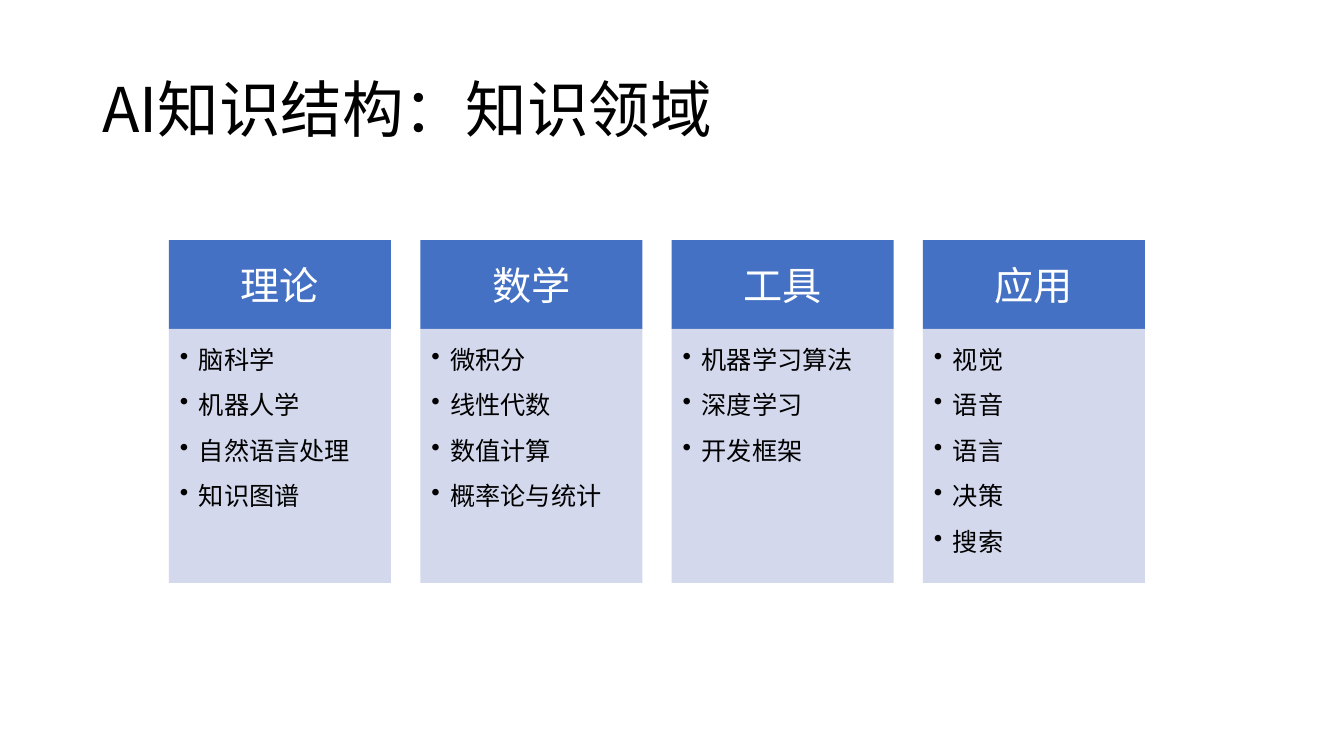
from lxml.etree import SubElement
from pptx import Presentation
from pptx.dml.color import RGBColor
from pptx.enum.shapes import MSO_SHAPE as Shape
from pptx.enum.text import MSO_ANCHOR as Anchor, MSO_AUTO_SIZE as AutoSize, PP_ALIGN as Align
from pptx.oxml.ns import qn
from pptx.util import Pt

# Content
TITLE = "AI知识结构：知识领域"
FIELDS = {
    "理论": ["脑科学", "机器人学", "自然语言处理", "知识图谱"],
    "数学": ["微积分", "线性代数", "数值计算", "概率论与统计"],
    "工具": ["机器学习算法", "深度学习", "开发框架"],
    "应用": ["视觉", "语音", "语言", "决策", "搜索"],
}

# Layout in px
SLIDE_SIZE = (1344, 756)
TITLE_BOX = (92, 40, 1160, 146)
GRID_LEFT, GRID_RIGHT = 169, 1145
CARD_WIDTH = 222
HEADER_TOP, HEADER_HEIGHT, BODY_HEIGHT = 240, 89, 254
BODY_INSET, BULLET_INDENT, BULLET_HANG = 15, 30, 19

# Style
FONT = "Noto Sans CJK SC"
BLUE = RGBColor(0x44, 0x71, 0xC4)
LAVENDER = RGBColor(0xCF, 0xD4, 0xEA)
WHITE = RGBColor(0xFF, 0xFF, 0xFF)
BLACK = RGBColor(0, 0, 0)
TITLE_TEXT = {"size": Pt(44), "color": BLACK}
HEADER_TEXT = {"size": Pt(28), "color": WHITE}
BODY_TEXT = {"size": Pt(18), "color": BLACK}
TITLE_FORMAT = {"alignment": Align.LEFT, "line_spacing": 0.9}
HEADER_FORMAT = {"alignment": Align.CENTER, "line_spacing": Pt(34)}
BODY_FORMAT = {"alignment": Align.LEFT, "line_spacing": Pt(21.7)}


def px(length):
    return round(length * 914400 / 100.8)


def set_attributes(target, values):
    for name, value in values.items():
        setattr(target, name, value)


def write(paragraph, text, text_style, paragraph_format):
    set_attributes(paragraph, paragraph_format)
    run = paragraph.add_run()
    run.text = text
    set_attributes(run.font, {"name": FONT, "size": text_style["size"]})
    run.font.color.rgb = text_style["color"]
    SubElement(run.font._element, qn("a:ea"), typeface=FONT)


def add_bullet(paragraph):
    properties = paragraph._p.get_or_add_pPr()
    properties.set("marL", str(px(BULLET_INDENT)))
    properties.set("indent", str(-px(BULLET_HANG)))
    SubElement(properties, qn("a:buChar"), char="•")


def add_box(slide, left, top, height, color, anchor, inset=0):
    box = slide.shapes.add_shape(
        Shape.RECTANGLE, px(left), px(top), px(CARD_WIDTH), px(height))
    box.shadow.inherit = False
    box.fill.solid()
    box.fill.fore_color.rgb = color
    box.line.fill.background()
    set_attributes(box.text_frame, {
        "margin_left": 0, "margin_right": 0, "margin_bottom": 0,
        "margin_top": px(inset), "vertical_anchor": anchor, "word_wrap": True,
    })
    return box


presentation = Presentation()
presentation.slide_width, presentation.slide_height = map(px, SLIDE_SIZE)
slide = presentation.slides.add_slide(presentation.slide_layouts[5])

# Title
title = slide.shapes.title
set_attributes(title, dict(zip(("left", "top", "width", "height"), map(px, TITLE_BOX))))
set_attributes(title.text_frame, {
    "vertical_anchor": Anchor.MIDDLE, "word_wrap": True, "auto_size": AutoSize.NONE,
})
write(title.text_frame.paragraphs[0], TITLE, TITLE_TEXT, TITLE_FORMAT)

# One card per field, spread evenly across the grid
pitch = (GRID_RIGHT - GRID_LEFT - CARD_WIDTH) / (len(FIELDS) - 1)
for column, (field, topics) in enumerate(FIELDS.items()):
    left = GRID_LEFT + column * pitch

    # Header
    header = add_box(slide, left, HEADER_TOP, HEADER_HEIGHT, BLUE, Anchor.MIDDLE)
    write(header.text_frame.paragraphs[0], field, HEADER_TEXT, HEADER_FORMAT)

    # Body with a slightly transparent fill
    body = add_box(slide, left, HEADER_TOP + HEADER_HEIGHT, BODY_HEIGHT,
                   LAVENDER, Anchor.TOP, BODY_INSET)
    fill_color = body.fill._xPr.find(qn("a:solidFill"))[0]
    SubElement(fill_color, qn("a:alpha"), val="90000")

    # Topics
    frame = body.text_frame
    for row, topic in enumerate(topics):
        paragraph = frame.add_paragraph() if row else frame.paragraphs[0]
        paragraph.space_before = Pt(10.8 if row else 0)
        add_bullet(paragraph)
        write(paragraph, topic, BODY_TEXT, BODY_FORMAT)

presentation.save("out.pptx")
